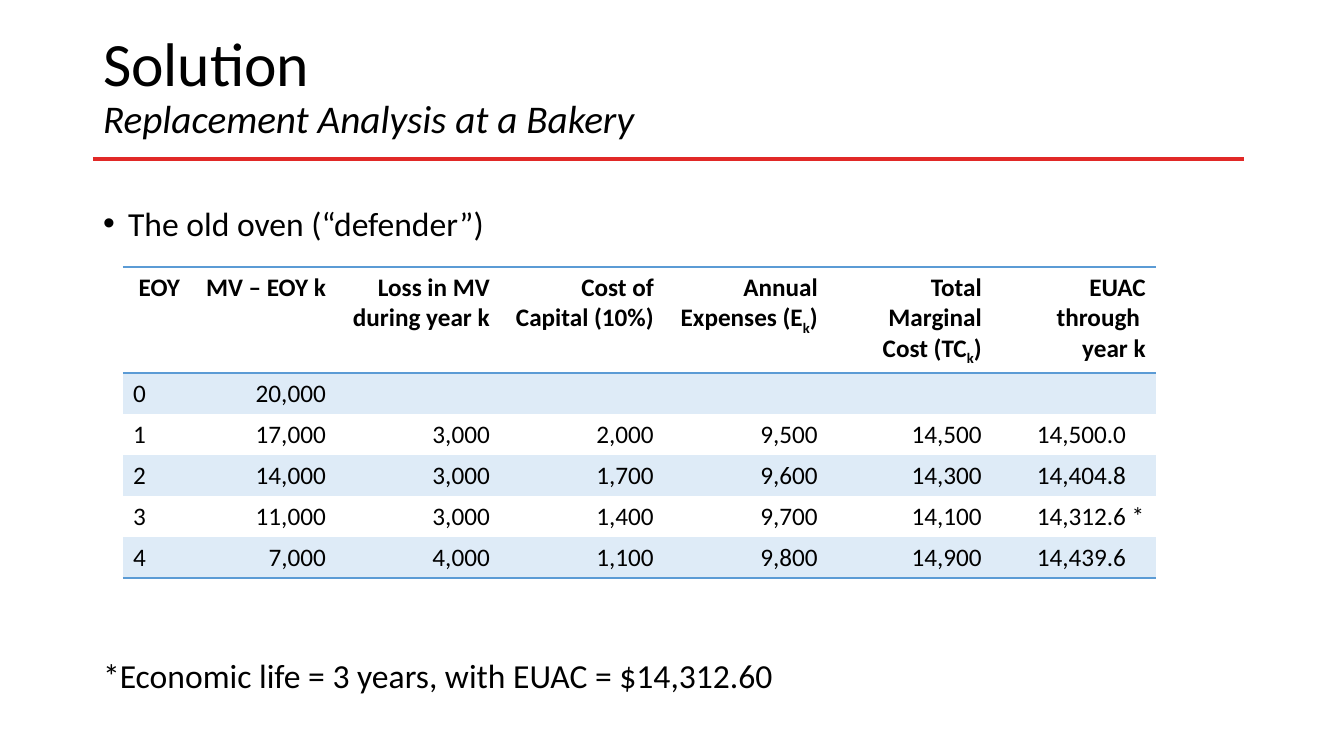
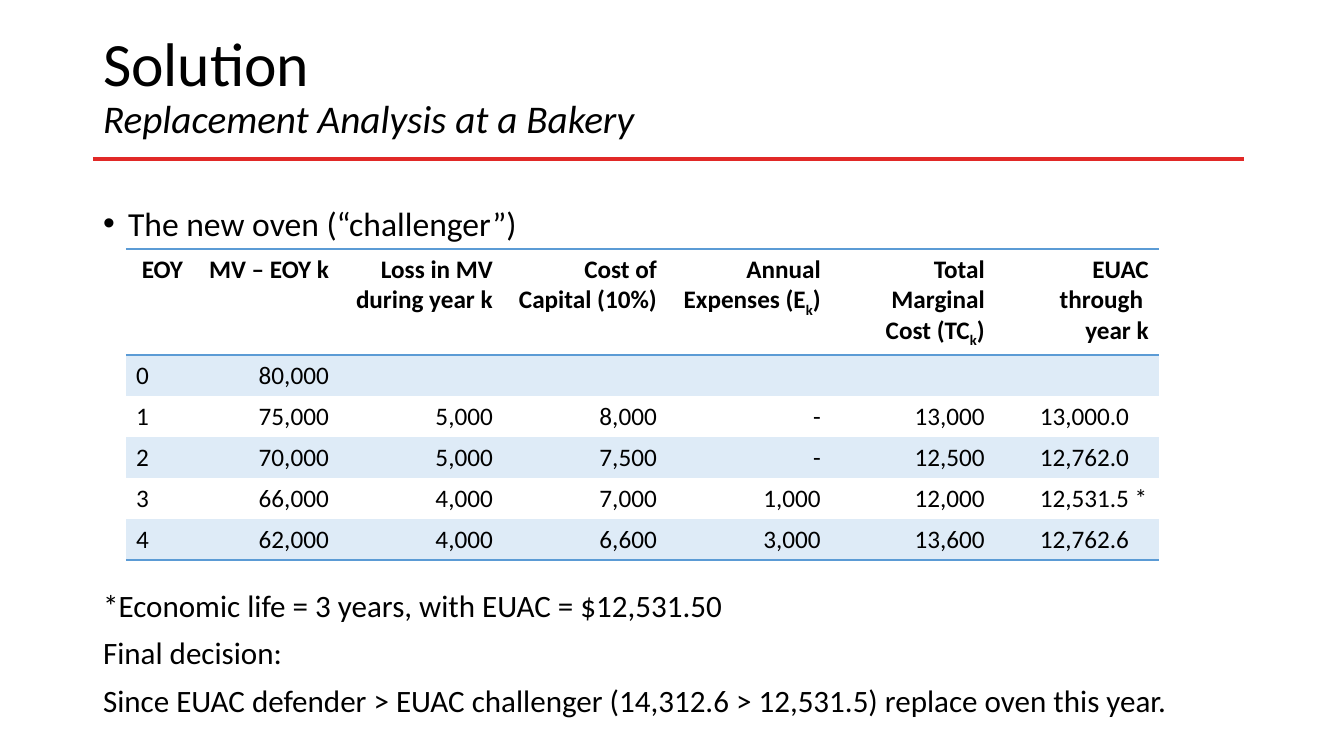
from lxml import etree
from pptx import Presentation
from pptx.dml.color import RGBColor
from pptx.enum.shapes import MSO_CONNECTOR
from pptx.enum.text import MSO_ANCHOR, MSO_AUTO_SIZE, PP_ALIGN
from pptx.oxml.ns import qn
from pptx.util import Emu, Pt

STRAIGHT = MSO_CONNECTOR.STRAIGHT
MIDDLE = MSO_ANCHOR.MIDDLE
NO_AUTOFIT = MSO_AUTO_SIZE.NONE
LEFT, RIGHT = PP_ALIGN.LEFT, PP_ALIGN.RIGHT

FONT = "Calibri"
BLACK = "000000"
RED = "E12927"
BLUE = "5B9BD5"
BAND = "DEEBF7"
PLAIN_TABLE_STYLE = "{2D5ABB26-0587-4C30-8999-92F81FD0307C}"

COLUMN_WIDTHS = [67, 146] + [164] * 5
HEADER_HEIGHT, ROW_HEIGHT = 106, 41
HEADER = [
    "EOY",
    "MV – EOY k",
    "Loss in MV during year k",
    "Cost of Capital (10%)",
    "Annual Expenses (E|k|)",
    "Total Marginal Cost (TC|k|)",
    "EUAC through \nyear k",
]

SLIDES = [
    {
        "bullet": "The old oven (“defender”)",
        "notes": ["*Economic life = 3 years, with EUAC = $14,312.60"],
        "note_size": 24,
        "note_gap": 297,
        "body_height": 507,
        "table_position": (123, 267),
        "rows": [
            ["0", "20,000", "", "", "", "", ""],
            ["1", "17,000", "3,000", "2,000", "9,500", "14,500", "14,500.0"],
            ["2", "14,000", "3,000", "1,700", "9,600", "14,300", "14,404.8"],
            ["3", "11,000", "3,000", "1,400", "9,700", "14,100", "14,312.6 *"],
            ["4", "7,000", "4,000", "1,100", "9,800", "14,900", "14,439.6"],
        ],
    },
    {
        "bullet": "The new oven (“challenger”)",
        "notes": [
            "*Economic life = 3 years, with EUAC = $12,531.50",
            "Final decision:",
            "Since EUAC defender > EUAC challenger (14,312.6 > 12,531.5) replace oven this year.",
        ],
        "note_size": 22.2,
        "note_gap": 248,
        "body_height": 535,
        "table_position": (126, 249),
        "rows": [
            ["0", "80,000", "", "", "", "", ""],
            ["1", "75,000", "5,000", "8,000", "-", "13,000", "13,000.0"],
            ["2", "70,000", "5,000", "7,500", "-", "12,500", "12,762.0"],
            ["3", "66,000", "4,000", "7,000", "1,000", "12,000", "12,531.5 *"],
            ["4", "62,000", "4,000", "6,600", "3,000", "13,600", "12,762.6"],
        ],
    },
]


def px(length):
    return Emu(round(length * 914400 / 100.8))


def color(value):
    return RGBColor.from_string(value)


presentation = Presentation()
presentation.slide_width, presentation.slide_height = px(1344), px(756)
layout = presentation.slide_layouts[1]
layout_title = layout.placeholders[0]
layout_title.left, layout_title.top = px(93), px(15)
layout_title.width, layout_title.height = px(1159), px(146)

for content in SLIDES:
    slide = presentation.slides.add_slide(layout)

    title_frame = slide.shapes.title.text_frame
    title_frame.vertical_anchor = MIDDLE
    title_frame.auto_size = NO_AUTOFIT
    paragraph = title_frame.paragraphs[0]
    paragraph.alignment = LEFT
    paragraph.line_spacing = 0.9
    paragraph.font.name = FONT
    paragraph.font.color.rgb = color(BLACK)
    heading = paragraph.add_run()
    heading.text = "Solution"
    heading.font.size = Pt(44)
    paragraph.add_line_break()
    subtitle = paragraph.add_run()
    subtitle.text = "Replacement Analysis at a Bakery"
    subtitle.font.size = Pt(28)
    subtitle.font.italic = True

    body = slide.placeholders[1]
    body.left, body.top = px(93), px(202)
    body.width, body.height = px(1159), px(content["body_height"])
    body_frame = body.text_frame
    body_frame.auto_size = NO_AUTOFIT
    body_frame.text = "\n".join([content["bullet"]] + content["notes"])
    for index, paragraph in enumerate(body_frame.paragraphs):
        indent = px(25) if index == 0 else 0
        properties = paragraph._p.get_or_add_pPr()
        properties.set("marL", str(indent))
        properties.set("indent", str(-indent))
        if index == 0:
            etree.SubElement(properties, qn("a:buChar")).set("char", "•")
        else:
            etree.SubElement(properties, qn("a:buNone"))
        paragraph.line_spacing = 0.9
        paragraph.space_before = Pt([0, content["note_gap"], 10, 10][index])
        paragraph.font.name = FONT
        paragraph.font.size = Pt(24 if index == 0 else content["note_size"])
        paragraph.font.color.rgb = color(BLACK)

    rows = [HEADER] + content["rows"]
    row_heights = [HEADER_HEIGHT] + [ROW_HEIGHT] * len(content["rows"])
    left, top = content["table_position"]
    frame = slide.shapes.add_table(
        len(rows), len(HEADER), px(left), px(top),
        px(sum(COLUMN_WIDTHS)), px(sum(row_heights)),
    )
    table = frame.table
    table.horz_banding = False
    table._tbl.tblPr.find(qn("a:tableStyleId")).text = PLAIN_TABLE_STYLE
    for column, width in zip(table.columns, COLUMN_WIDTHS):
        column.width = px(width)

    for row_index, values in enumerate(rows):
        table.rows[row_index].height = px(row_heights[row_index])
        is_header = row_index == 0
        if is_header:
            borders = ["a:lnT", "a:lnB"]
        elif row_index == len(rows) - 1:
            borders = ["a:lnB"]
        else:
            borders = []
        for column_index, value in enumerate(values):
            cell = table.cell(row_index, column_index)
            cell_properties = cell._tc.get_or_add_tcPr()
            for border in borders:
                line = etree.SubElement(cell_properties, qn(border), w=str(Pt(1)))
                line_fill = etree.SubElement(line, qn("a:solidFill"))
                etree.SubElement(line_fill, qn("a:srgbClr"), val=BLUE)
            if row_index % 2:
                cell.fill.solid()
                cell.fill.fore_color.rgb = color(BAND)
            else:
                cell.fill.background()

            is_left = not is_header and column_index in (0, len(HEADER) - 1)
            if is_left and column_index:
                cell.margin_left, cell.margin_right = px(45), px(5)
            for line_index, text in enumerate(value.split("\n")):
                cell_frame = cell.text_frame
                paragraph = cell_frame.add_paragraph() if line_index else cell_frame.paragraphs[0]
                paragraph.alignment = LEFT if is_left else RIGHT
                paragraph.font.name = FONT
                paragraph.font.size = Pt(18)
                paragraph.font.bold = is_header
                paragraph.font.color.rgb = color(BLACK)
                for part_index, part in enumerate(text.split("|")):
                    if part:
                        run = paragraph.add_run()
                        run.text = part
                        if part_index % 2:
                            run._r.get_or_add_rPr().set("baseline", "-25000")

rule = slide.shapes.add_connector(STRAIGHT, px(93), px(159), px(1244), px(159))
rule.line.color.rgb = color(RED)
rule.line.width = Pt(3)
etree.SubElement(rule._element.spPr, qn("a:effectLst"))
layout.shapes.element.append(rule._element)

presentation.save("out.pptx")
